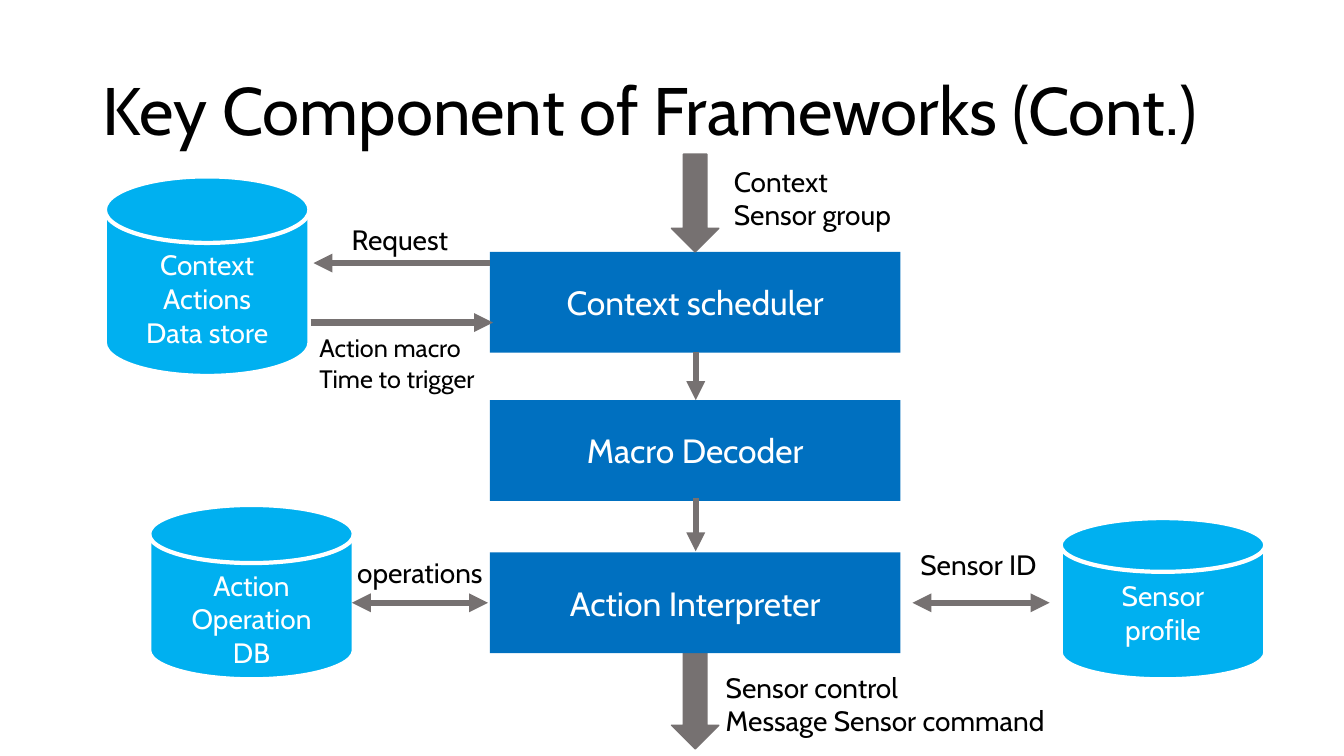
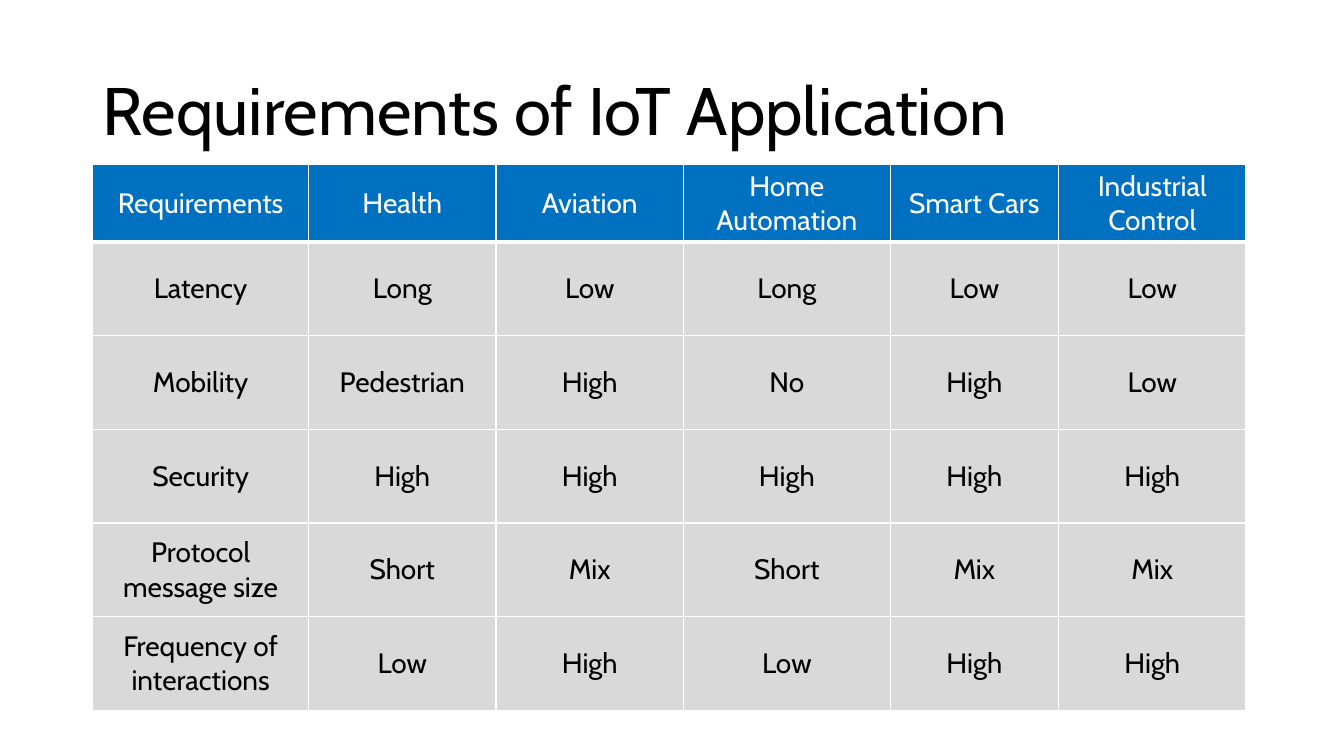
import pptx
import pptx.util
import pptx.dml.color
import pptx.enum.shapes
import pptx.enum.text
import pptx.oxml
import pptx.oxml.ns
from lxml import etree

Inches, Pt = pptx.util.Inches, pptx.util.Pt
SHAPE = pptx.enum.shapes.MSO_SHAPE
ALIGN = pptx.enum.text.PP_ALIGN
ANCHOR = pptx.enum.text.MSO_ANCHOR
qn = pptx.oxml.ns.qn


class Deck:
    """The shared style, and the slide being drawn."""

    font = "Cabin"
    colors = {"text": "000000", "light": "FFFFFF", "block": "0070C0",
              "store": "00B0F0", "flow": "767171", "cell": "D9D9D9"}

    def __init__(self):
        self.prs = pptx.Presentation()
        self.prs.slide_width, self.prs.slide_height = Inches(13.33), Inches(7.5)
        self.slide = None

    def rgb(self, color):
        return pptx.dml.color.RGBColor.from_string(self.colors[color])

    def fill(self, target, color):
        target.fill.solid()
        target.fill.fore_color.rgb = self.rgb(color)

    def set_text(self, frame, text, size, color="text", align=ALIGN.LEFT, spacing=None):
        frame.text = text
        for paragraph in frame.paragraphs:
            paragraph.alignment = align
            paragraph.line_spacing = spacing
            font = paragraph.font
            font.name, font.size, font.bold = self.font, Pt(size), False
            font.color.rgb = self.rgb(color)

    def text_frame(self, left, top, width, height):
        box = self.slide.shapes.add_textbox(*map(Inches, (left, top, width, height)))
        return box.text_frame

    def new_slide(self, title, title_width=11.5):
        self.slide = self.prs.slides.add_slide(self.prs.slide_layouts[6])
        frame = self.text_frame(0.92, 0.4, title_width, 1.45)
        frame.word_wrap = True
        frame.vertical_anchor = ANCHOR.MIDDLE
        self.set_text(frame, title, 48, spacing=0.9)

    def label(self, text, left, top, width, height, size=20, align=ALIGN.LEFT):
        frame = self.text_frame(left, top, width, height)
        frame.word_wrap = False
        frame.auto_size = pptx.enum.text.MSO_AUTO_SIZE.SHAPE_TO_FIT_TEXT
        self.set_text(frame, text, size, align=align)

    def shape(self, kind, left, top, width, height, color, line=None, line_width=1):
        shape = self.slide.shapes.add_shape(
            kind, *map(Inches, (left, top, width, height)))
        shape.shadow.inherit = False
        self.fill(shape, color)
        if line:
            shape.line.color.rgb = self.rgb(line)
            shape.line.width = Pt(line_width)
        else:
            shape.line.fill.background()
        return shape

    def block(self, text, top):
        block = self.shape(SHAPE.RECTANGLE, 4.86, top, 4.07, 1, "block")
        block.text_frame.vertical_anchor = ANCHOR.MIDDLE
        self.set_text(block.text_frame, text, 24, "light", ALIGN.CENTER)

    def store(self, text, left, top, height, anchor=ANCHOR.TOP):
        store = self.shape(SHAPE.FLOWCHART_MAGNETIC_DISK, left, top, 2.03, height,
                           "store", "light", 3)
        store.text_frame.vertical_anchor = anchor
        self.set_text(store.text_frame, text, 20, "light", ALIGN.CENTER)

    def big_arrow(self, top):
        self.shape(SHAPE.DOWN_ARROW, 6.66, top, 0.47, 0.97, "flow", "flow")

    def arrow(self, x1, y1, x2, y2, both_ways=False):
        arrow = self.slide.shapes.add_connector(
            pptx.enum.shapes.MSO_CONNECTOR.STRAIGHT, *map(Inches, (x1, y1, x2, y2)))
        arrow.line.color.rgb = self.rgb("flow")
        arrow.line.width = Pt(4.5)
        outline = arrow.line._get_or_add_ln()
        for end in ("a:headEnd", "a:tailEnd") if both_ways else ("a:tailEnd",):
            etree.SubElement(outline, qn(end), type="triangle")
        etree.SubElement(arrow._element.spPr, qn("a:effectLst"))

    def border(self, cell, sides):
        for side, width in sides.items():
            line = etree.SubElement(cell._tc.get_or_add_tcPr(), qn(f"a:ln{side}"),
                                    w=str(Pt(width)))
            paint = etree.SubElement(line, qn("a:solidFill"))
            etree.SubElement(paint, qn("a:srgbClr"), val=self.colors["light"])

    def table(self, rows, left, top, widths, heights):
        table = self.slide.shapes.add_table(
            len(rows), len(widths), Inches(left), Inches(top),
            Inches(sum(widths)), Inches(sum(heights))).table
        for column, width in zip(table.columns, widths):
            column.width = Inches(width)
        for r, (row, height) in enumerate(zip(rows, heights)):
            table.rows[r].height = Inches(height)
            for c, text in enumerate(row):
                cell = table.cell(r, c)
                cell.vertical_anchor = ANCHOR.MIDDLE
                # A thicker rule runs between the header and the body
                self.border(cell, {"L": 1, "R": 1, "T": 3 if r == 1 else 1,
                                   "B": 3 if r == 0 else 1})
                self.fill(cell, "cell" if r else "block")
                self.set_text(cell.text_frame, text, 20, "text" if r else "light",
                              ALIGN.CENTER)


def framework_slide(deck):
    deck.new_slide("Key Component of Frameworks (Cont.)", 11.96)

    # Data stores
    deck.store("Context\nActions\nData store", 1.04, 1.75, 1.98)
    deck.store("Action\nOperation\nDB", 1.48, 5.01, 1.73)
    deck.store("Sensor\nprofile", 10.52, 5.14, 1.6, ANCHOR.MIDDLE)

    # Processing chain, with its input and output
    deck.big_arrow(6.46)
    for text, top in (("Context scheduler", 2.5), ("Macro Decoder", 3.97),
                      ("Action Interpreter", 5.48)):
        deck.block(text, top)
    deck.big_arrow(1.53)

    # Flows
    deck.arrow(4.86, 2.61, 3.11, 2.61)
    deck.arrow(3.08, 3.2, 4.89, 3.2)
    deck.arrow(6.9, 3.49, 6.9, 3.97)
    deck.arrow(6.9, 4.94, 6.9, 5.47)
    deck.arrow(3.49, 5.98, 4.84, 5.98, both_ways=True)
    deck.arrow(9.05, 5.98, 10.41, 5.98, both_ways=True)

    # Flow labels
    deck.label("Request", 3.39, 2.16, 1.2, 0.44)
    deck.label("Action macro\nTime to trigger", 3.07, 3.25, 1.83, 0.71, size=18)
    deck.label("operations", 3.4, 5.46, 1.53, 0.44, align=ALIGN.CENTER)
    deck.label("Context\nSensor group", 7.18, 1.58, 1.87, 0.77)
    deck.label("Sensor ID", 9.03, 5.38, 1.39, 0.44)
    deck.label("Sensor control\nMessage Sensor command", 7.1, 6.6, 3.53, 0.77)


def requirements_slide(deck):
    deck.new_slide("Requirements of IoT Application")
    requirements = [
        ("Requirements", "Health", "Aviation", "Home Automation", "Smart Cars",
         "Industrial Control"),
        ("Latency", "Long", "Low", "Long", "Low", "Low"),
        ("Mobility", "Pedestrian", "High", "No", "High", "Low"),
        ("Security", "High", "High", "High", "High", "High"),
        ("Protocol message size", "Short", "Mix", "Short", "Mix", "Mix"),
        ("Frequency of interactions", "Low", "High", "Low", "High", "High"),
    ]
    deck.table(requirements, 0.92, 1.63, [2.14, 1.86, 1.86, 2.05, 1.67, 1.86],
               [0.77] + [0.93] * 5)


def main():
    deck = Deck()
    framework_slide(deck)
    requirements_slide(deck)
    deck.prs.save("out.pptx")


if __name__ == "__main__":
    main()
